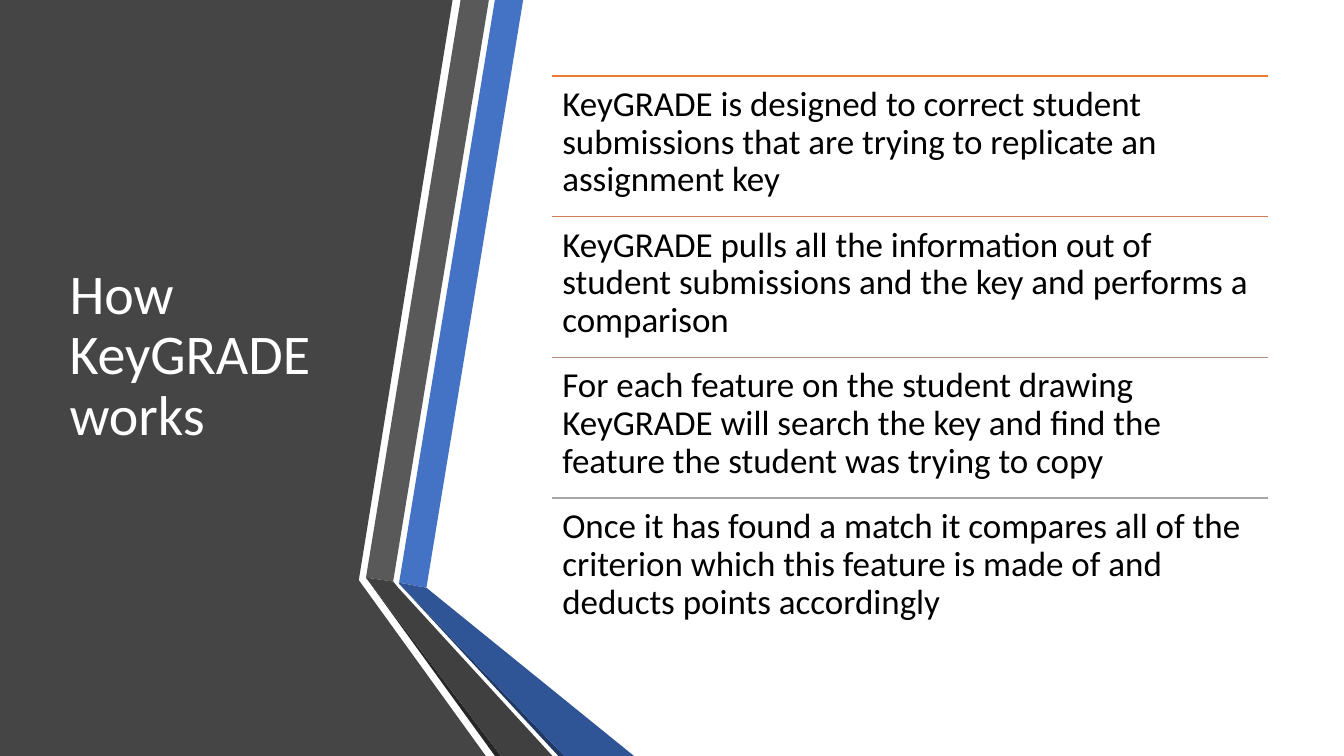
"""Build the slide that explains how KeyGRADE works."""
from pptx import Presentation
from pptx.dml.color import RGBColor
from pptx.enum.shapes import MSO_CONNECTOR as Conn
from pptx.enum.text import MSO_ANCHOR as Anchor, MSO_AUTO_SIZE as Auto, PP_ALIGN as Align
from pptx.oxml.ns import qn
from pptx.util import Pt
from lxml import etree

TITLE = "How KeyGRADE works"
STEPS = [
    ("orange", "KeyGRADE is designed to correct student submissions "
               "that are trying to replicate an assignment key"),
    ("copper", "KeyGRADE pulls all the information out of student submissions "
               "and the key and performs a comparison"),
    ("rose", "For each feature on the student drawing KeyGRADE will search the key "
             "and find the feature the student was trying to copy"),
    ("silver", "Once it has found a match it compares all of the criterion "
               "which this feature is made of and deducts points accordingly"),
]
COLORS = {
    "panel": "454545", "blue": "4472C4", "gray": "595959", "gray edge": "262626",
    "blue edge": "203864", "blue fold": "2F5597", "gray fold": "404040",
    "orange": "ED7D31", "copper": "D17B5C", "rose": "B98A82", "silver": "A5A5A5",
    "white": "FFFFFF", "black": "000000",
}
WIDTH, HEIGHT = 960, 540
FONT = "Calibri"
BANDS = [
    ("panel", [(0, 0), (323.3, 0), (256.3, 414.4), (347, HEIGHT), (0, HEIGHT)]),
    ("blue", [(285.1, 416.2), (304.6, 419.8), (373.7, 0), (353.5, 0)]),
    ("gray", [(349.2, 0), (329, 0), (261.4, 412.6), (280.8, 415.4)]),
    ("gray edge", [(261.4, 412.6), (353.5, HEIGHT), (357.8, HEIGHT)]),
    ("blue edge", [(285.1, 416.9), (398.9, HEIGHT), (403.2, HEIGHT)]),
    ("blue fold", [(285.1, 416.9), (403.2, HEIGHT), (452.9, HEIGHT),
                   (304.6, 419.8), (285.1, 416.2)]),
    ("gray fold", [(394.6, HEIGHT), (284.4, 419.8), (280.8, 415.4),
                   (261.4, 412.6), (357.8, HEIGHT)]),
]
TITLE_BOX = (42.5, 54, 218.9, 401.8)
LIST_LEFT, LIST_TOP, LIST_WIDTH, ROW = 394.6, 54.3, 511.2, 100.5
INSET = 7.2


def rgb(name):
    return RGBColor.from_string(COLORS[name])


def add_band(s, color, points):
    (x, y), *rest = [(Pt(px), Pt(py)) for px, py in points]
    builder = s.shapes.build_freeform(x, y)
    builder.add_line_segments(rest, close=True)
    sp = builder.convert_to_shape()
    sp.shadow.inherit = False
    sp.fill.solid()
    sp.fill.fore_color.rgb = rgb(color)
    sp.line.fill.background()


def add_rule(s, color, y):
    rule = s.shapes.add_connector(
        Conn.STRAIGHT, Pt(LIST_LEFT), Pt(y), Pt(LIST_LEFT + LIST_WIDTH), Pt(y))
    rule.line.color.rgb = rgb(color)
    rule.line.width = Pt(1)
    etree.SubElement(rule.element.spPr, qn("a:effectLst"))
    for ref in rule.element.iter(qn("a:effectRef")):
        ref.set("idx", "0")


def write(tf, text, size, color):
    tf.word_wrap = True
    tf.auto_size = Auto.NONE
    p = tf.paragraphs[0]
    p.alignment = Align.LEFT
    p.line_spacing = 0.9
    r = p.add_run()
    r.text = text
    r.font.name = FONT
    r.font.size = Pt(size)
    r.font.color.rgb = rgb(color)


def add_step(s, text, y):
    box = s.shapes.add_textbox(Pt(LIST_LEFT), Pt(y), Pt(LIST_WIDTH), Pt(ROW))
    tf = box.text_frame
    tf.margin_left = tf.margin_right = tf.margin_top = tf.margin_bottom = Pt(INSET)
    tf.vertical_anchor = Anchor.TOP
    write(tf, text, 25, "black")


def main():
    prs = Presentation()
    prs.slide_width, prs.slide_height = Pt(WIDTH), Pt(HEIGHT)
    s = prs.slides.add_slide(prs.slide_layouts[5])

    for color, points in BANDS:
        add_band(s, color, points)

    title = s.shapes.title
    title.left, title.top, title.width, title.height = map(Pt, TITLE_BOX)
    title.text_frame.vertical_anchor = Anchor.MIDDLE
    write(title.text_frame, TITLE, 40, "white")
    s.shapes._spTree.append(title.element)

    for i, (color, text) in enumerate(STEPS):
        y = LIST_TOP + i * ROW
        add_rule(s, color, y)
        add_step(s, text, y)

    prs.save("out.pptx")


if __name__ == "__main__":
    main()
